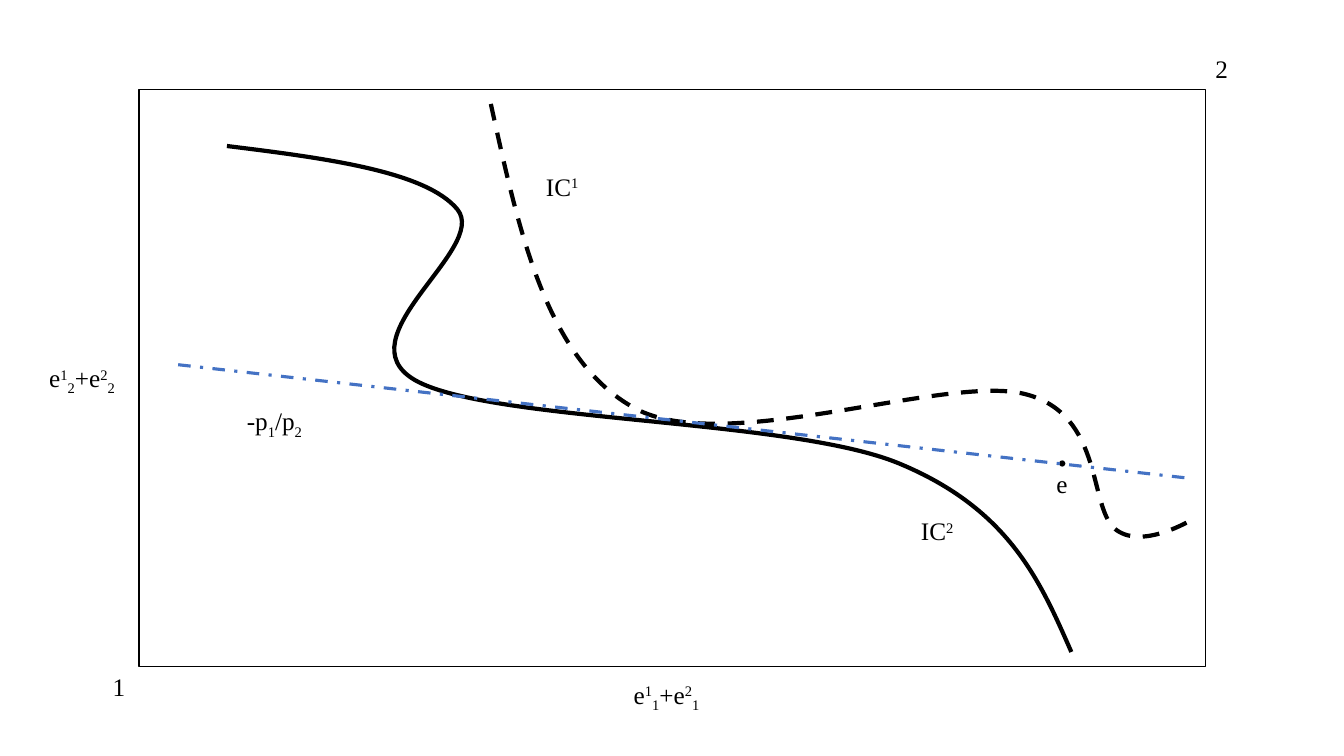
"""Build an exchange box with two indifference curves and a price line."""
import lxml.etree
import pptx
import pptx.dml.color
import pptx.enum.dml
import pptx.enum.shapes
import pptx.enum.text
import pptx.oxml.ns
import pptx.util

Cm = pptx.util.Cm
Pt = pptx.util.Pt
RGBColor = pptx.dml.color.RGBColor
Dash = pptx.enum.dml.MSO_LINE
Kind = pptx.enum.shapes.MSO_SHAPE
qn = pptx.oxml.ns.qn

BLACK = RGBColor(0, 0, 0)
WHITE = RGBColor(255, 255, 255)
BLUE = RGBColor(0x44, 0x72, 0xC4)
FONT = "Times New Roman"
SUP, SUB = 30, -25

BOX = (3.5, 2.26, 26.88, 14.54)
POINT = (26.71, 11.62, 0.12, 0.12)
PRICE = (4.49, 9.19, 29.87, 12.04)

CURVES = [
    ([(12.37, 2.62),
      (13.08, 5.84), (13.77, 9.07), (16, 10.29),
      (18.24, 11.51), (23.83, 9.42), (25.83, 9.93),
      (27.86, 10.44), (27.41, 12.85), (28.14, 13.36),
      (28.85, 13.87), (30.15, 13.03), (30.15, 13.03)], 10.92, Dash.DASH),
    ([(5.72, 3.68),
      (8.23, 3.99), (10.74, 4.32), (11.53, 5.28),
      (12.32, 6.27), (8.61, 8.51), (10.46, 9.58),
      (12.32, 10.64), (19.91, 10.54), (22.66, 11.68),
      (25.43, 12.83), (26.21, 14.63), (27, 16.43)], 12.75, None),
]

LABELS = [
    (2.59, 16.79, 0.91, [("1", 0)]),
    (30.38, 1.22, 0.91, [("2", 0)]),
    (15.72, 16.99, 2.41, [("e", 0), ("1", SUP), ("1", SUB),
                          ("+e", 0), ("2", SUP), ("1", SUB)]),
    (0.99, 9.01, 2.41, [("e", 0), ("1", SUP), ("2", SUB),
                        ("+e", 0), ("2", SUP), ("2", SUB)]),
    (13.51, 4.19, 1.55, [("IC", 0), ("1", SUP)]),
    (22.96, 12.87, 1.55, [("IC", 0), ("2", SUP)]),
    (26.37, 11.67, 0.74, [("e", 0)]),
    (5.97, 10.1, 2.41, [("-p", 0), ("1", SUB), ("/p", 0), ("2", SUB)]),
]


def stroke(line, color, width, dash=None):
    line.color.rgb = color
    line.width = Pt(width)
    if dash is not None:
        line.dash_style = dash


def add_plain(shapes, kind, frame, fill):
    shape = shapes.add_shape(kind, *map(Cm, frame))
    shape.shadow.inherit = False
    shape.fill.solid()
    shape.fill.fore_color.rgb = fill
    stroke(shape.line, BLACK, 1)


def add_curve(shapes, knots, height, dash):
    spots = [(Cm(x), Cm(y)) for x, y in knots]
    pen = shapes.build_freeform(*spots[0])
    pen.add_line_segments(spots[3::3], close=False)
    shape = pen.convert_to_shape()
    shape.shadow.inherit = False
    shape.fill.background()
    stroke(shape.line, BLACK, 3, dash)
    shape.height = Cm(height)
    route = shape._element.spPr.xpath(".//a:path")[0]
    route.set("h", str(Cm(height)))
    for i, side in enumerate(route.findall(qn("a:lnTo"))):
        bend = lxml.etree.Element(qn("a:cubicBezTo"))
        for x, y in spots[3 * i + 1:3 * i + 4]:
            lxml.etree.SubElement(bend, qn("a:pt"), x=str(x - shape.left),
                                  y=str(y - shape.top))
        route.replace(side, bend)


def add_label(shapes, x, y, width, parts):
    frame = shapes.add_textbox(Cm(x), Cm(y), Cm(width), Cm(1.02)).text_frame
    frame.word_wrap = True
    frame.auto_size = pptx.enum.text.MSO_AUTO_SIZE.SHAPE_TO_FIT_TEXT
    for text, base in parts:
        run = frame.paragraphs[0].add_run()
        run.text = text
        run.font.name = FONT
        run.font.size = Pt(18)
        run.font.color.rgb = BLACK
        if base:
            run._r.get_or_add_rPr().set("baseline", str(base * 1000))


def add_price(shapes):
    straight = pptx.enum.shapes.MSO_CONNECTOR.STRAIGHT
    line = shapes.add_connector(straight, *map(Cm, PRICE))
    stroke(line.line, BLUE, 2.25, Dash.DASH_DOT)
    lxml.etree.SubElement(line._element.spPr, qn("a:effectLst"))


def main():
    deck = pptx.Presentation()
    deck.slide_width, deck.slide_height = Cm(33.87), Cm(19.05)
    shapes = deck.slides.add_slide(deck.slide_layouts[6]).shapes
    add_plain(shapes, Kind.RECTANGLE, BOX, WHITE)
    for curve in CURVES:
        add_curve(shapes, *curve)
    add_plain(shapes, Kind.OVAL, POINT, BLACK)
    add_price(shapes)
    for label in LABELS:
        add_label(shapes, *label)
    deck.save("out.pptx")


if __name__ == "__main__":
    main()
